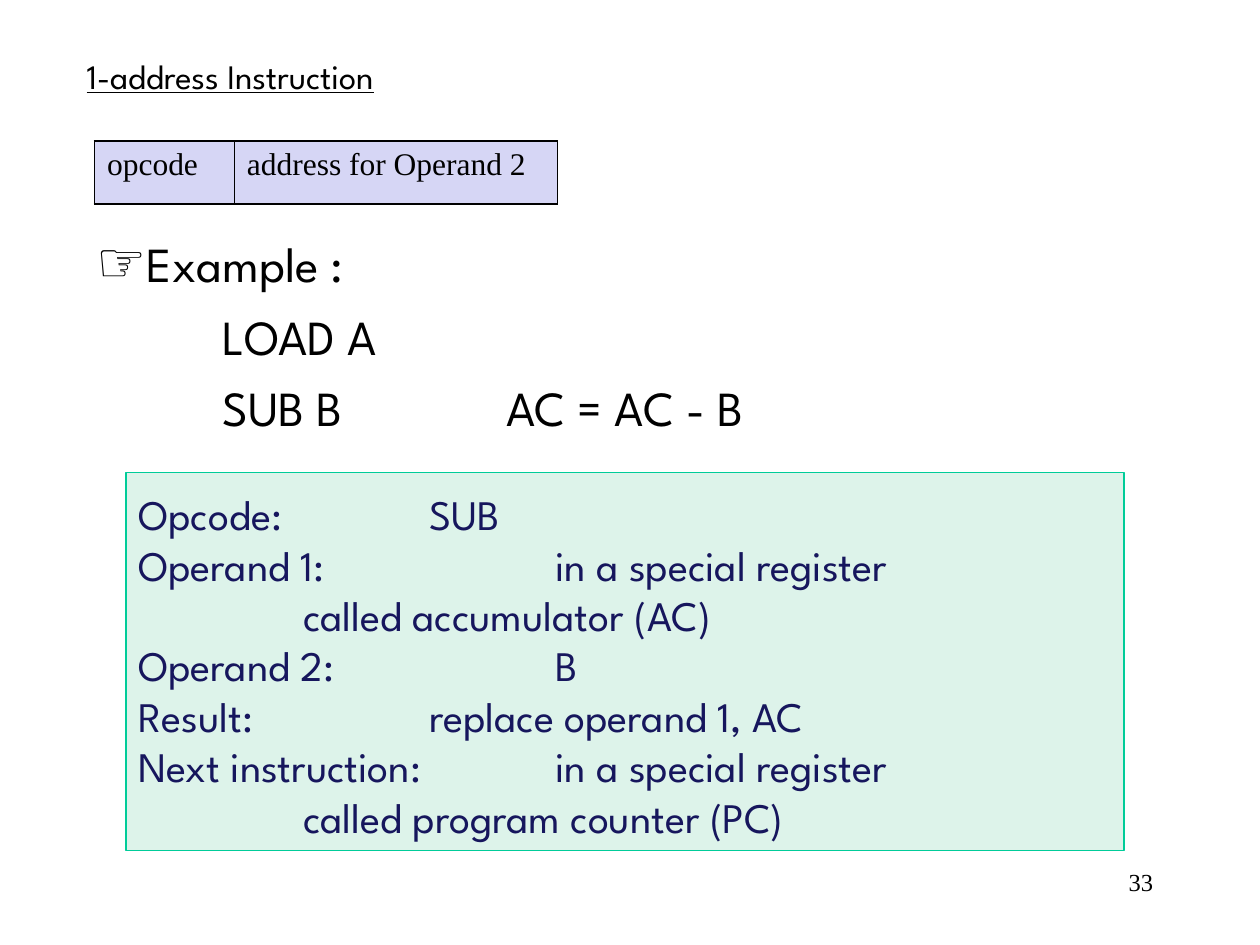
from lxml import etree
from pptx import Presentation
from pptx.dml.color import RGBColor
from pptx.enum.shapes import MSO_SHAPE
from pptx.enum.text import MSO_ANCHOR, PP_ALIGN
from pptx.oxml.ns import qn
from pptx.util import Inches, Pt

RECT = MSO_SHAPE.RECTANGLE
MIDDLE = MSO_ANCHOR.MIDDLE
RIGHT = PP_ALIGN.RIGHT
SERIF, SANS = "Times New Roman", "League Spartan"
COLORS = {"text": "000000", "navy": "16165D", "panel": "DDF3EA",
          "panel_line": "00CC99", "cell": "D6D6F5"}


def add_run(p, text, size, font, color="text"):
    r = p.add_run()
    r.text = text
    r.font.size = Pt(size)
    r.font.name = font
    r.font.color.rgb = RGBColor.from_string(COLORS[color])
    return r


def set_indent(p, left, first):
    """Set a hanging indent and a tab stop at every inch."""
    pPr = p._p.get_or_add_pPr()
    pPr.set("marL", str(Inches(left)))
    pPr.set("indent", str(Inches(first)))
    pPr.set("defTabSz", str(Inches(1)))


prs = Presentation()
prs.slide_width, prs.slide_height = Inches(10), Inches(7.5)
s = prs.slides.add_slide(prs.slide_layouts[6])

# Panel behind the explanation
panel = s.shapes.add_shape(RECT, Inches(1), Inches(3.75), Inches(7.92), Inches(3))
panel.shadow.inherit = False
panel.fill.solid()
panel.fill.fore_color.rgb = RGBColor.from_string(COLORS["panel"])
panel.line.color.rgb = RGBColor.from_string(COLORS["panel_line"])
panel.line.width = Pt(0.75)

# Text boxes
boxes = {}
for name, x, y, w, h in [("number", 7.17, 6.83, 2.08, 0.5),
                         ("title", 0.59, 0.41, 9, 0.45),
                         ("example", 0.67, 1.75, 9, 4.25),
                         ("details", 1, 3.83, 8.25, 2.9)]:
    tf = s.shapes.add_textbox(Inches(x), Inches(y), Inches(w), Inches(h)).text_frame
    tf.word_wrap = True
    boxes[name] = tf

# Page number
p = boxes["number"].paragraphs[0]
p.alignment = RIGHT
add_run(p, "33", 14, SERIF)

# Title
boxes["title"].vertical_anchor = MIDDLE
p = boxes["title"].paragraphs[0]
p.line_spacing = 0.8
add_run(p, "1-address Instruction", 19.6, SANS).font.underline = True

# Example code
tf = boxes["example"]
p = tf.paragraphs[0]
set_indent(p, 0.38, -0.38)
add_run(p, "☞", 32, "Arial")
add_run(p, "Example :", 28, SANS)
for code in ["LOAD A", "SUB B\t\tAC = AC - B"]:
    p = tf.add_paragraph()
    set_indent(p, 1.25, -0.25)
    p.space_before = Pt(7)
    add_run(p, code, 28, SANS)

# Instruction format table
widths = [1.11, 2.56]
table = s.shapes.add_table(1, 2, Inches(0.75), Inches(1.12),
                           Inches(sum(widths)), Inches(0.5)).table
table.first_row = table.horz_banding = False
for i, label in enumerate(["opcode", "address for Operand 2"]):
    table.columns[i].width = Inches(widths[i])
    cell = table.cell(0, i)
    add_run(cell.text_frame.paragraphs[0], label, 18, SERIF)
    tcPr = cell._tc.get_or_add_tcPr()
    for side, width in [("L", 0.45 if i else 1.08), ("R", 0.45),
                        ("T", 1.08), ("B", 1.08)]:
        ln = etree.SubElement(tcPr, qn(f"a:ln{side}"), w=str(Pt(width)))
        fill = etree.SubElement(ln, qn("a:solidFill"))
        etree.SubElement(fill, qn("a:srgbClr"), val=COLORS["text"])
    cell.fill.solid()
    cell.fill.fore_color.rgb = RGBColor.from_string(COLORS["cell"])

# Explanation: each entry lists its lines
details = [["Opcode:\t\tSUB"],
           ["Operand 1:\t\tin a special register", "\tcalled accumulator (AC)"],
           ["Operand 2:\t\tB"],
           ["Result:\t\treplace operand 1, AC"],
           ["Next instruction: \tin a special register", "\tcalled program counter (PC)"]]
tf = boxes["details"]
for i, lines in enumerate(details):
    p = tf.add_paragraph() if i else tf.paragraphs[0]
    set_indent(p, 0.31, -0.31)
    for j, line in enumerate(lines):
        if j:
            p.add_line_break()
        add_run(p, line, 24, SANS, "navy")

prs.save("out.pptx")
